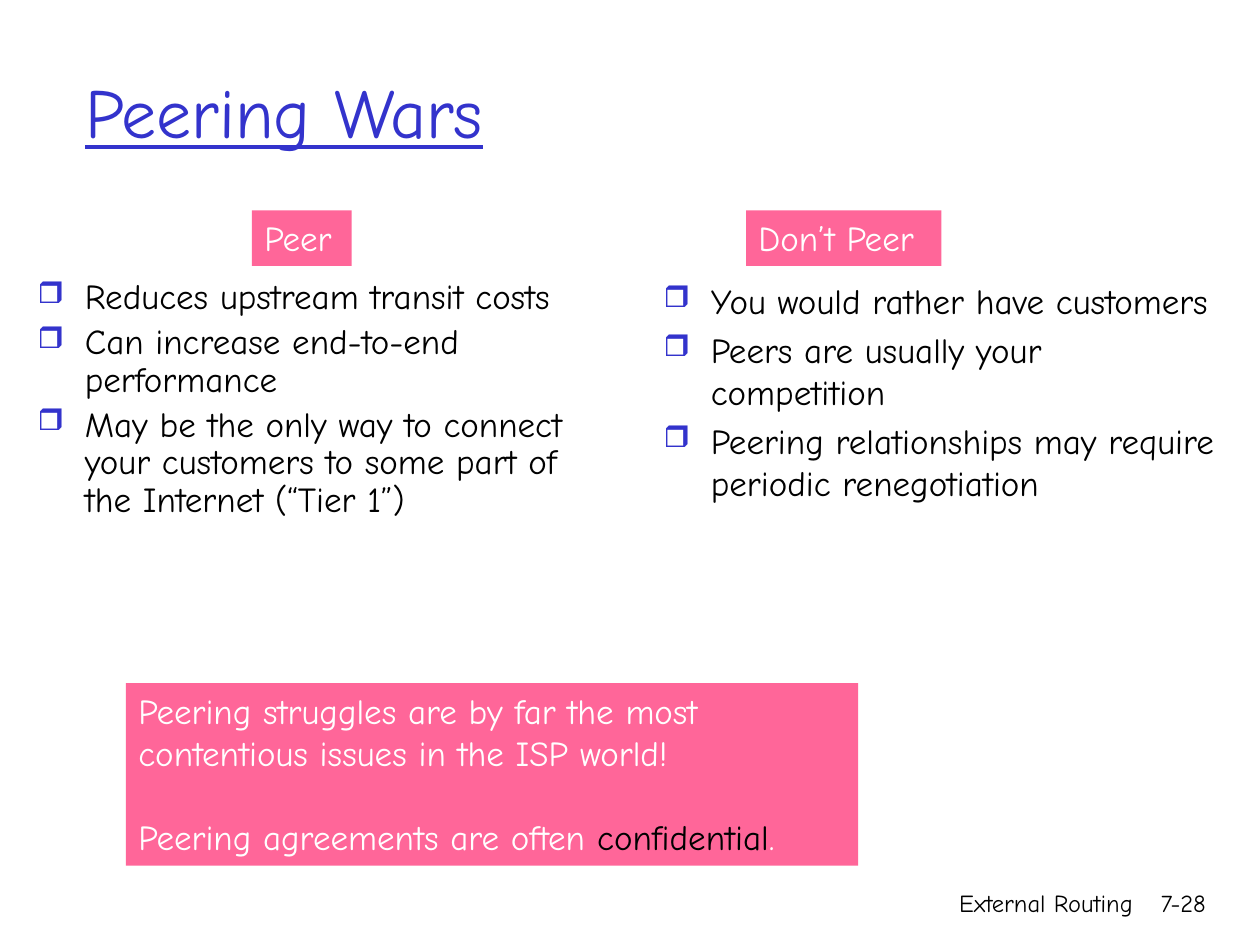
"""Build the Peering Wars slide."""
from dataclasses import dataclass
from typing import Any

from lxml.etree import SubElement
from pptx import Presentation
from pptx.dml.color import RGBColor
from pptx.enum.shapes import MSO_SHAPE as Shape
from pptx.enum.text import MSO_ANCHOR as Anchor, PP_ALIGN as Align
from pptx.oxml.ns import qn
from pptx.util import Cm, Pt

BLUE = RGBColor(0x33, 0x33, 0xCC)
PINK = RGBColor(0xFF, 0x66, 0x99)
BLACK = RGBColor(0x00, 0x00, 0x00)
WHITE = RGBColor(0xFF, 0xFF, 0xFF)


@dataclass
class SlideWriter:
    """Hold the text style and the current slide."""
    page: Any
    font: str = "Comic Neue"
    size: int = 20

    def paragraph(self, frame, spans, **formats):
        """Add a paragraph of (text, colour) spans."""
        para = frame.paragraphs[0]
        if para.runs:
            para = frame.add_paragraph()
        for name, value in formats.items():
            setattr(para, name, value)
        for text, colour in spans:
            span = para.add_run()
            span.text = text
            span.font.color.rgb = colour
            for name, value in {"name": self.font, "size": Pt(self.size)}.items():
                setattr(span.font, name, value)
        return para

    def text(self, place, text, colour=BLACK, size=14, align=Align.RIGHT,
             anchor=Anchor.TOP, underline=False):
        """Add a one-line text box."""
        frame = self.page.shapes.add_textbox(*map(Cm, place)).text_frame
        frame.word_wrap = True
        frame.vertical_anchor = anchor
        para = self.paragraph(frame, [(text, colour)], alignment=align)
        para.runs[0].font.size = Pt(size)
        para.runs[0].font.underline = underline

    def bullets(self, place, items, line_spacing):
        """Add a list with hollow square bullets."""
        frame = self.page.shapes.add_textbox(*map(Cm, place)).text_frame
        frame.word_wrap = True
        for item in items:
            para = self.paragraph(frame, [(item, BLACK)],
                                  line_spacing=line_spacing, space_before=Pt(4))
            props = para._p.get_or_add_pPr()
            props.set("marL", str(Cm(0.95)))
            props.set("indent", str(Cm(-0.95)))
            colour = SubElement(props, qn("a:buClr"))
            SubElement(colour, qn("a:srgbClr"), val=str(BLUE))
            SubElement(props, qn("a:buSzPct"), val="85000")
            SubElement(props, qn("a:buChar"), char="❒")

    def panel(self, place, paragraphs, gap=0):
        """Add a pink box, with a gap before its last paragraph."""
        box = self.page.shapes.add_shape(Shape.RECTANGLE, *map(Cm, place))
        box.shadow.inherit = False
        box.fill.solid()
        box.fill.fore_color.rgb = PINK
        box.line.fill.background()
        box.text_frame.word_wrap = True
        box.text_frame.vertical_anchor = Anchor.TOP
        for spans in paragraphs:
            para = self.paragraph(box.text_frame, spans, alignment=Align.LEFT)
        para.space_before = Pt(gap)


def main():
    """Create and save the deck."""
    deck = Presentation()
    deck.slide_width, deck.slide_height = Cm(25.4), Cm(19.05)
    writer = SlideWriter(deck.slides.add_slide(deck.slide_layouts[6]))

    writer.text((1.47, 0.64, 21.59, 3.17), "Peering Wars", BLUE, 40,
                Align.LEFT, Anchor.MIDDLE, True)
    writer.bullets((0.51, 5.51, 11.89, 7.62), [
        "Reduces upstream transit costs",
        "Can increase end-to-end performance",
        "May be the only way to connect your customers to some part of "
        "the Internet (“Tier 1”)",
    ], 0.9)
    writer.bullets((13.13, 5.51, 11.61, 7.42), [
        "You would rather have customers",
        "Peers are usually your competition",
        "Peering relationships may require periodic renegotiation",
    ], 1.0)
    writer.panel((2.54, 13.77, 14.76, 3.68), [
        [("Peering struggles are by far the most", WHITE)],
        [("contentious issues in the ISP world!", WHITE)],
        [("Peering agreements are often ", WHITE), ("confidential", BLACK),
         (".", WHITE)],
    ], gap=24)
    for left, width, label in ((5.08, 2.01, "Peer"), (15.04, 3.94, "Don’t Peer")):
        writer.panel((left, 4.24, width, 1.12), [[(label, WHITE)]])
    writer.text((15.04, 17.78, 8.05, 1.27), "External Routing")
    writer.text((22.68, 17.78, 1.88, 1.27), "7-28")
    deck.save("out.pptx")


if __name__ == "__main__":
    main()
